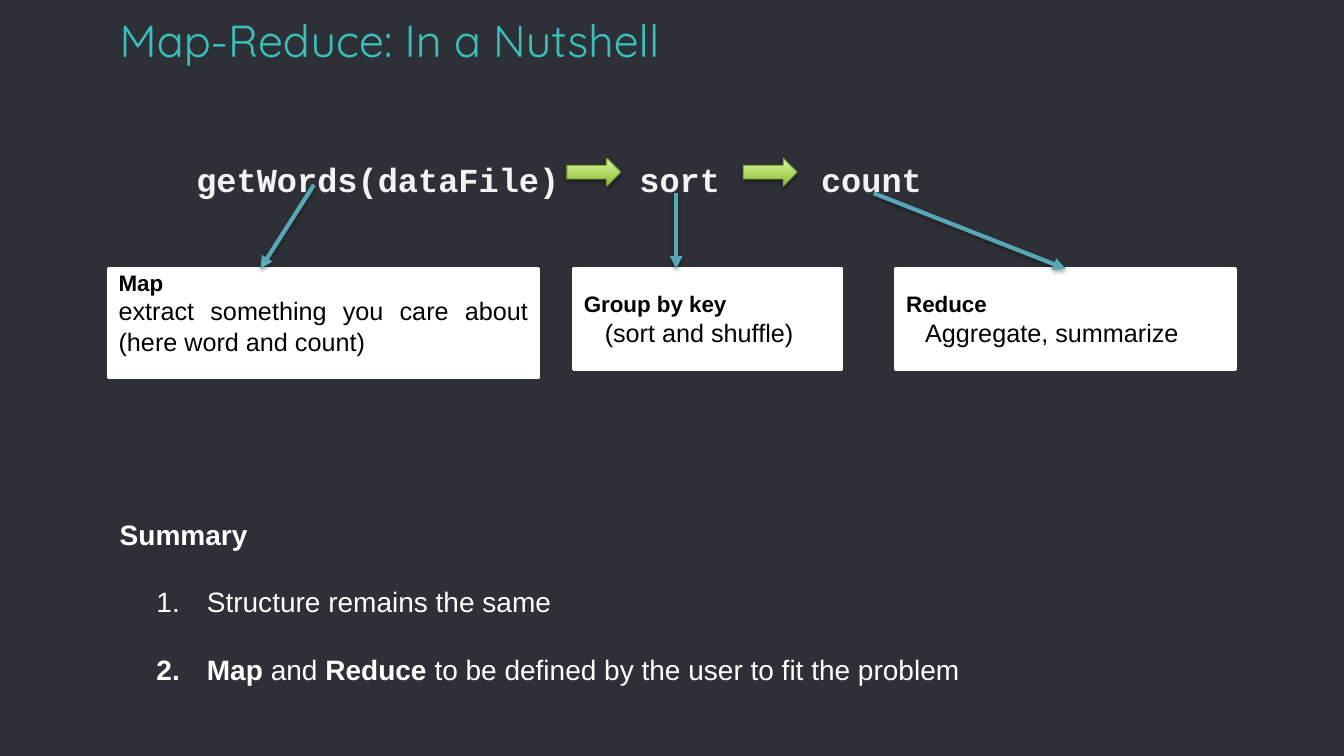
"""Build the slide that sums up Map-Reduce as a three-step pipeline."""
import dataclasses
import typing

import lxml.etree
import pptx
import pptx.dml.color
import pptx.enum.dml
import pptx.enum.shapes
import pptx.enum.text
import pptx.oxml.ns
import pptx.util

EMU_PER_PX = 9525
Anchor = pptx.enum.text.MSO_ANCHOR
Align = pptx.enum.text.PP_ALIGN
Shapes = pptx.enum.shapes.MSO_SHAPE
qn = pptx.oxml.ns.qn


@dataclasses.dataclass(frozen=True)
class Theme:
    background: str = "2E3037"
    title: str = "39C0BA"
    code: str = "F3F3F3"
    white: str = "FFFFFF"
    black: str = "000000"
    pointer: str = "57A7B5"
    flow_dark: str = "91BB32"
    flow_light: str = "D6FBA0"
    flow_line: str = "89AA3E"
    title_font: str = "Quicksand"
    code_font: str = "Courier New"
    body_font: str = "Arial"
    title_size: int = 32
    code_size: int = 24
    summary_size: int = 20
    detail_size: int = 18
    heading_size: int = 16


@dataclasses.dataclass(frozen=True)
class Frame:
    left: int
    top: int
    width: int
    height: int


@dataclasses.dataclass(frozen=True)
class Step:
    frame: Frame
    heading: str
    detail: str
    indent: int
    anchor: Anchor
    inset_top: int
    pointer_start: tuple[int, int]
    pointer_end: typing.Optional[tuple[int, int]] = None


@dataclasses.dataclass(frozen=True)
class Span:
    text: str
    bold: bool = False


THEME = Theme()
STEPS = (
    Step(Frame(103, 256, 410, 104), "Map", "extract something you care about (here word and count)",
         0, Anchor.TOP, 0, (299, 176), (248, 256)),
    Step(Frame(546, 256, 256, 96), "Group by key", "(sort and shuffle)",
         20, Anchor.MIDDLE, 5, (644, 184), (644, 256)),
    Step(Frame(853, 256, 324, 96), "Reduce", "Aggregate, summarize",
         18, Anchor.MIDDLE, 5, (832, 184)),
)
FLOW_ARROWS = (Frame(540, 151, 51, 26), Frame(708, 151, 51, 26))
CODE_TABS = (422, 595)
SUMMARY = (
    (Span("Structure remains the same"),),
    (Span("Map ", True), Span("and "), Span("Reduce ", True),
     Span("to be defined by the user to fit the problem")),
)


def px(length: int) -> pptx.util.Emu:
    """Turn px into EMU."""
    return pptx.util.Emu(length * EMU_PER_PX)


def bounds(frame: Frame) -> tuple[pptx.util.Emu, ...]:
    """Give a frame's left, top, width and height in EMU."""
    return tuple(px(length) for length in dataclasses.astuple(frame))


def rgb(color: str) -> pptx.dml.color.RGBColor:
    """Read a hex colour."""
    return pptx.dml.color.RGBColor.from_string(color)


def style(paragraph, font: str, size: int, color: str, bold: typing.Optional[bool] = False) -> None:
    """Format every run of a paragraph, leaving weight alone when bold is None."""
    for span in paragraph.runs:
        span.font.name = font
        span.font.size = pptx.util.Pt(size)
        span.font.color.rgb = rgb(color)
        if bold is not None:
            span.font.bold = bold


def prepare(text_frame, anchor: Anchor, side: int, top: int) -> None:
    """Set wrapping, anchor and insets of a text frame."""
    text_frame.word_wrap = True
    text_frame.auto_size = pptx.enum.text.MSO_AUTO_SIZE.NONE
    text_frame.vertical_anchor = anchor
    text_frame.margin_left = text_frame.margin_right = px(side)
    text_frame.margin_top = text_frame.margin_bottom = px(top)


def set_indent(paragraph, left: int, first: int = 0):
    """Set a paragraph's left margin and first-line indent."""
    properties = paragraph._p.get_or_add_pPr()
    properties.set("marL", str(px(left)))
    properties.set("indent", str(px(first)))
    return properties


def add_shadow(shape) -> None:
    """Give a shape or connector a soft shadow below it."""
    properties = shape.element.spPr
    effects = properties.find(qn("a:effectLst"))
    if effects is None:
        effects = lxml.etree.SubElement(properties, qn("a:effectLst"))
    shadow = lxml.etree.SubElement(effects, qn("a:outerShdw"), blurRad="39400", dist="22900",
                                   dir="5400000", rotWithShape="0")
    color = lxml.etree.SubElement(shadow, qn("a:srgbClr"), val=THEME.black)
    lxml.etree.SubElement(color, qn("a:alpha"), val="35000")


def add_title(page) -> None:
    """Place and format the slide title."""
    title = page.shapes.title
    title.left, title.top, title.width, title.height = bounds(Frame(104, 16, 1037, 57))
    title.text_frame.text = "Map-Reduce: In a Nutshell"
    prepare(title.text_frame, Anchor.BOTTOM, 10, 10)
    paragraph = title.text_frame.paragraphs[0]
    paragraph.alignment = Align.LEFT
    style(paragraph, THEME.title_font, THEME.title_size, THEME.title)


def add_code(page) -> None:
    """Write the three pipeline calls at tab stops."""
    box = page.shapes.add_textbox(*bounds(Frame(122, 136, 838, 59)))
    prepare(box.text_frame, Anchor.TOP, 10, 10)
    box.text_frame.margin_left = px(65)
    box.text_frame.text = "getWords(dataFile)\tsort\tcount"
    paragraph = box.text_frame.paragraphs[0]
    paragraph.line_spacing = 1.15
    style(paragraph, THEME.code_font, THEME.code_size, THEME.code, True)
    tabs = lxml.etree.SubElement(paragraph._p.get_or_add_pPr(), qn("a:tabLst"))
    for stop in CODE_TABS:
        lxml.etree.SubElement(tabs, qn("a:tab"), pos=str(px(stop)), algn="l")


def add_step(page, step: Step):
    """Draw a white box that explains one pipeline step."""
    box = page.shapes.add_shape(Shapes.RECTANGLE, *bounds(step.frame))
    box.shadow.inherit = False
    box.fill.solid()
    box.fill.fore_color.rgb = box.line.color.rgb = rgb(THEME.white)
    box.line.width = pptx.util.Pt(2)
    prepare(box.text_frame, step.anchor, 10, step.inset_top)
    box.text_frame.text = f"{step.heading}\n{step.detail}"
    heading, detail = box.text_frame.paragraphs
    heading.alignment = detail.alignment = Align.JUSTIFY
    style(heading, THEME.body_font, THEME.heading_size, THEME.black, True)
    style(detail, THEME.body_font, THEME.detail_size, THEME.black)
    set_indent(detail, step.indent)
    return box


def add_pointer(page, step: Step, box) -> None:
    """Draw the arrow from a call to its explanation."""
    start = [px(length) for length in step.pointer_start]
    end = [px(length) for length in step.pointer_end or step.pointer_start]
    pointer = page.shapes.add_connector(pptx.enum.shapes.MSO_CONNECTOR.STRAIGHT, *start, *end)
    if step.pointer_end is None:
        pointer.end_connect(box, 0)
    pointer.line.color.rgb = rgb(THEME.pointer)
    pointer.line.width = pptx.util.Pt(3)
    lxml.etree.SubElement(pointer.element.spPr.find(qn("a:ln")), qn("a:tailEnd"), type="triangle")
    add_shadow(pointer)


def add_summary(page) -> None:
    """Write the summary heading and its numbered points."""
    box = page.shapes.add_textbox(*bounds(Frame(104, 488, 832, 171)))
    prepare(box.text_frame, Anchor.TOP, 10, 5)
    box.text_frame.text = "Summary"
    heading = box.text_frame.paragraphs[0]
    heading.alignment = Align.JUSTIFY
    style(heading, THEME.body_font, THEME.summary_size, THEME.white, True)
    for point in SUMMARY:
        paragraph = box.text_frame.add_paragraph()
        paragraph.alignment = Align.JUSTIFY
        paragraph.space_before = pptx.util.Pt(24)
        for part in point:
            span = paragraph.add_run()
            span.text = part.text
            span.font.bold = part.bold
        style(paragraph, THEME.body_font, THEME.summary_size, THEME.white, None)
        properties = set_indent(paragraph, 83, -48)
        lxml.etree.SubElement(properties, qn("a:buFont"), typeface=THEME.body_font)
        lxml.etree.SubElement(properties, qn("a:buAutoNum"), type="arabicPeriod")


def add_flow_arrow(page, frame: Frame) -> None:
    """Draw a green block arrow between two calls."""
    arrow = page.shapes.add_shape(Shapes.RIGHT_ARROW, *bounds(frame))
    arrow.shadow.inherit = False
    arrow.fill.gradient()
    arrow.fill.gradient_angle = 90
    for stop, color in zip(arrow.fill.gradient_stops, (THEME.flow_dark, THEME.flow_light)):
        stop.color.rgb = rgb(color)
    arrow.line.color.rgb = rgb(THEME.flow_line)
    arrow.line.width = pptx.util.Pt(0.75)
    add_shadow(arrow)


def main() -> None:
    """Build and save the deck."""
    deck = pptx.Presentation()
    deck.slide_width, deck.slide_height = px(1280), px(720)
    page = deck.slides.add_slide(deck.slide_layouts.get_by_name("Title Only"))
    page.background.fill.solid()
    page.background.fill.fore_color.rgb = rgb(THEME.background)
    add_title(page)
    add_code(page)
    boxes = [add_step(page, step) for step in STEPS]
    for step, box in zip(STEPS, boxes):
        add_pointer(page, step, box)
    add_summary(page)
    for frame in FLOW_ARROWS:
        add_flow_arrow(page, frame)
    deck.save("out.pptx")


if __name__ == "__main__":
    main()
